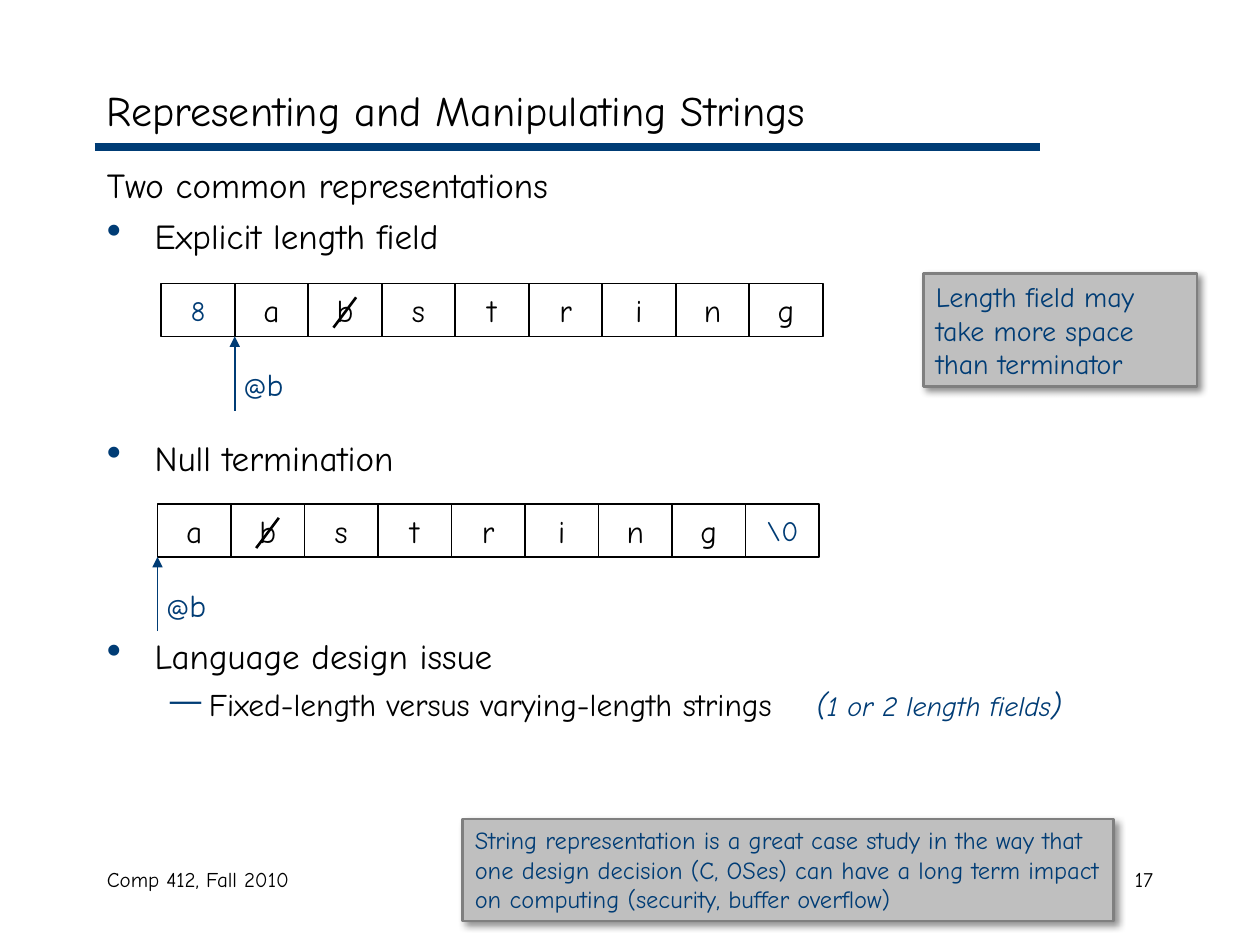
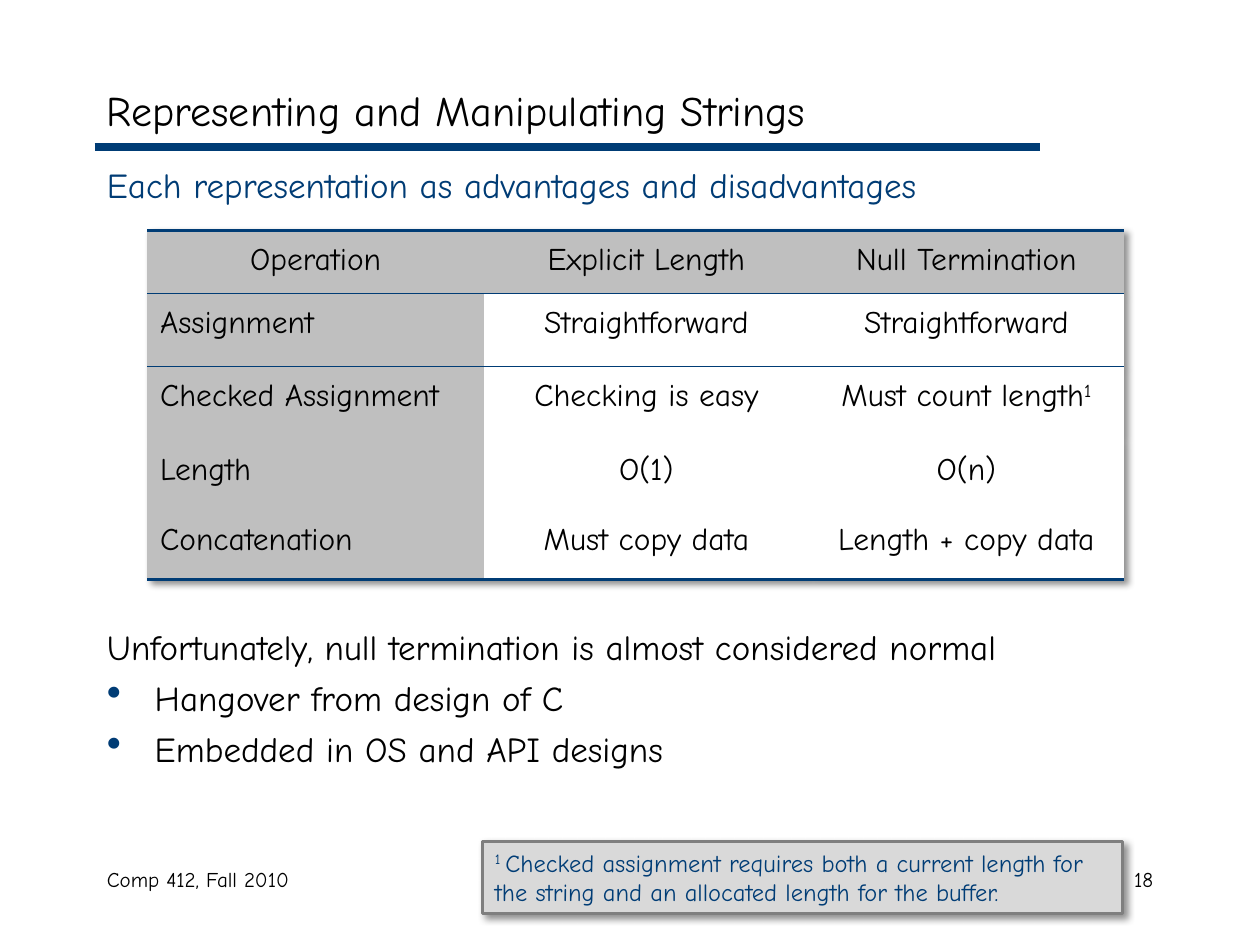
from lxml.etree import SubElement
from pptx import Presentation
from pptx.dml.color import RGBColor
from pptx.enum.shapes import MSO_CONNECTOR as Conn, MSO_SHAPE as Shape
from pptx.enum.text import MSO_ANCHOR as Anchor, PP_ALIGN as Align
from pptx.oxml.ns import qn
from pptx.util import Inches, Pt

FONT = "Comic Neue"
NAVY, BLACK, WHITE = "003C75", "000000", "FFFFFF"
GRAY, PALE, EDGE = "BFBFBF", "D9D9D9", "7F7F7F"
CELL_W, CELL_H = 7 / 12, 0.42
NO_STYLE = "{2D5ABB26-0587-4C30-8999-92F81FD0307C}"


def color(code):
    return RGBColor.from_string(code)


def node(parent, tag, **attrs):
    return SubElement(parent, qn(tag), {k: str(v) for k, v in attrs.items()})


def write(para, parts, size, ink=BLACK, align=Align.LEFT, before=0):
    """Fill a paragraph; a part is a string or (string, {size, ink, italic, raised})."""
    para.alignment = align
    if before:
        para.space_before = Pt(before)
    font = para.font
    font.name, font.size, font.color.rgb = FONT, Pt(size), color(ink)
    for part in [parts] if isinstance(parts, str) else parts:
        text, look = (part, {}) if isinstance(part, str) else part
        run = para.add_run()
        run.text = text
        if "size" in look:
            run.font.size = Pt(look["size"])
        if "ink" in look:
            run.font.color.rgb = color(look["ink"])
        if "italic" in look:
            run.font.italic = True
        if "raised" in look:
            run.font._element.set("baseline", "30000")


def text_box(slide, box, anchor=Anchor.TOP):
    frame = slide.shapes.add_textbox(*map(Inches, box)).text_frame
    frame.word_wrap, frame.vertical_anchor = True, anchor
    return frame


def rect(slide, box, fill, edge, width):
    shape = slide.shapes.add_shape(Shape.RECTANGLE, *map(Inches, box))
    shape.shadow.inherit = False
    shape.fill.solid()
    shape.fill.fore_color.rgb = color(fill)
    shape.line.color.rgb, shape.line.width = color(edge), Pt(width)
    return shape


def line(slide, start, end, ink, width, arrow=False):
    link = slide.shapes.add_connector(Conn.STRAIGHT, *map(Inches, start + end))
    link.line.color.rgb, link.line.width = color(ink), Pt(width)
    if arrow:
        node(link.line._get_or_add_ln(), "a:tailEnd", type="triangle")
    node(link._element.spPr, "a:effectLst")


def drop_shadow(effects):
    cast = node(effects, "a:outerShdw", blurRad=Pt(4), dist=Pt(3),
                dir=45 * 60000, algn="tl", rotWithShape=0)
    node(node(cast, "a:srgbClr", val=BLACK), "a:alpha", val=43000)


def bullet(para, char, left, hang, percent=100, tab=None):
    props = para._p.get_or_add_pPr()
    props.set("marL", str(Inches(left)))
    props.set("indent", str(-Inches(hang)))
    node(node(props, "a:buClr"), "a:srgbClr", val=NAVY)
    node(props, "a:buSzPct", val=percent * 1000)
    node(props, "a:buChar", char=char)
    if tab:
        node(node(props, "a:tabLst"), "a:tab", pos=Inches(tab), algn="l")


def new_slide(deck, title, number):
    """Start a slide with the shared title, rule and footer."""
    slide = deck.slides.add_slide(deck.slide_layouts[6])
    line(slide, (0.75, 1.17), (8.25, 1.17), NAVY, 4.5)
    footer = text_box(slide, (0.75, 6.83, 3.17, 0.5))
    write(footer.paragraphs[0], "Comp 412, Fall 2010", 12)
    page = text_box(slide, (7.17, 6.83, 2.08, 0.5))
    write(page.paragraphs[0], str(number), 12, align=Align.RIGHT)
    head = text_box(slide, (0.75, 0.58, 8.5, 0.58), Anchor.MIDDLE)
    write(head.paragraphs[0], title, 24)
    return slide


def body(slide, items):
    """Write the main text; an item is (level, parts, ink, space before)."""
    frame = text_box(slide, (0.75, 1.25, 8.5, 5.42))
    for i, (level, parts, ink, before) in enumerate(items):
        para = frame.add_paragraph() if i else frame.paragraphs[0]
        if level == 1:
            bullet(para, "•", 0.38, 0.38, 120)
        elif level == 2:
            para.level = 1
            bullet(para, "—", 0.81, 0.31, tab=5.63)
        write(para, parts, 18 if level == 2 else 20, ink, before=before)


def note(slide, box, parts, size, fill=GRAY):
    shape = rect(slide, box, fill, EDGE, 1.5)
    drop_shadow(shape._element.spPr.find(qn("a:effectLst")))
    frame = shape.text_frame
    frame.word_wrap, frame.vertical_anchor = True, Anchor.TOP
    write(frame.paragraphs[0], parts, size, NAVY)


def string_row(slide, left, top, marks, extra):
    """Draw one cell per mark; extra is the index of the bookkeeping cell."""
    for i, mark in enumerate(marks):
        x = left + i * CELL_W
        cell = rect(slide, (x, top, CELL_W, CELL_H), WHITE, BLACK, 1)
        frame = cell.text_frame
        frame.word_wrap, frame.vertical_anchor = False, Anchor.MIDDLE
        size, ink = (16, NAVY) if i == extra else (18, BLACK)
        write(frame.paragraphs[0], mark, size, ink, Align.CENTER)
        if mark == "b":
            line(slide, (x + 0.38, top + 0.11), (x + 0.2, top + 0.35), BLACK, 1.5)
    start = left + marks.index("a") * CELL_W
    line(slide, (start, top + 1.01), (start, top + CELL_H), NAVY, 1, arrow=True)
    label = text_box(slide, (start - 0.03, top + 0.6, CELL_W, 0.4))
    write(label.paragraphs[0], ["@", ("b", {"size": 18})], 16, NAVY)


def border(cell, side, width):
    edge = node(cell._tc.get_or_add_tcPr(), side, w=Pt(width))
    node(node(edge, "a:solidFill"), "a:srgbClr", val=NAVY)


def cost_table(slide, box, widths, heights, rows):
    frame = slide.shapes.add_table(len(rows), len(widths), *map(Inches, box))
    table = frame.table
    table.first_row = table.horz_banding = False
    props = table._tbl.tblPr
    props.find(qn("a:tableStyleId")).text = NO_STYLE
    effects = node(props, "a:effectLst")
    props.insert(0, effects)
    drop_shadow(effects)
    for col, width in zip(table.columns, widths):
        col.width = Inches(width)
    for r, (row, height) in enumerate(zip(rows, heights)):
        table.rows[r].height = Inches(height)
        for c, parts in enumerate(row):
            cell = table.cell(r, c)
            if r < 2:
                border(cell, "a:lnT", 1 if r else 2.25)
            if r in (0, len(rows) - 1):
                border(cell, "a:lnB", 2.25 if r else 1)
            cell.fill.solid()
            cell.fill.fore_color.rgb = color(WHITE if r and c else GRAY)
            para = cell.text_frame.paragraphs[0]
            para.line_spacing = Pt(24)
            write(para, parts, 18, align=Align.LEFT if r and not c else Align.CENTER)


def layout_slide(deck, title):
    slide = new_slide(deck, title, 17)
    aside = {"ink": NAVY, "italic": True}
    body(slide, [
        (0, "Two common representations", BLACK, 0),
        (1, "Explicit length field", BLACK, 5),
        (1, "Null termination", BLACK, 103),
        (1, "Language design issue", BLACK, 89),
        (2, ["Fixed-length versus varying-length strings\t", ("(", aside),
             ("1 or 2 length fields", {**aside, "size": 16}), (")", aside)], BLACK, 5),
    ])
    letters = list("abstring")
    string_row(slide, 1.28, 2.25, ["8"] + letters, 0)
    string_row(slide, 1.25, 4, letters + ["\\0"], 8)
    note(slide, (7.33, 2.17, 2.17, 0.9),
         "Length field may take more space than terminator", 16)
    note(slide, (3.67, 6.5, 5.17, 0.81),
         "String representation is a great case study in the way that one design "
         "decision (C, OSes) can have a long term impact on computing "
         "(security, buffer overflow)", 14)


def cost_slide(deck, title):
    slide = new_slide(deck, title, 18)
    body(slide, [
        (0, "Each representation as advantages and disadvantages", NAVY, 0),
        (0, "Unfortunately, null termination is almost considered normal", BLACK, 240),
        (1, "Hangover from design of C", BLACK, 5),
        (1, "Embedded in OS and API designs", BLACK, 5),
    ])
    raised = {"raised": True}
    cost_table(slide, (1.17, 1.83, 7.75, 2.76), (2.67, 2.58, 2.5),
               (0.5, 0.58, 0.58, 0.56, 0.55), [
        ("Operation", "Explicit Length", "Null Termination"),
        ("Assignment", "Straightforward", "Straightforward"),
        ("Checked Assignment", "Checking is easy", ["Must count length", ("1", raised)]),
        ("Length", "O(1)", "O(n)"),
        ("Concatenation", "Must copy data", "Length + copy data"),
    ])
    note(slide, (3.83, 6.68, 5.08, 0.57),
         [("1 ", raised), "Checked assignment requires both a current length for "
          "the string and an allocated length for the buffer."], 14, PALE)


def main():
    deck = Presentation()
    deck.slide_width, deck.slide_height = Inches(10), Inches(7.5)
    title = "Representing and Manipulating Strings"
    layout_slide(deck, title)
    cost_slide(deck, title)
    deck.save("out.pptx")


if __name__ == "__main__":
    main()
